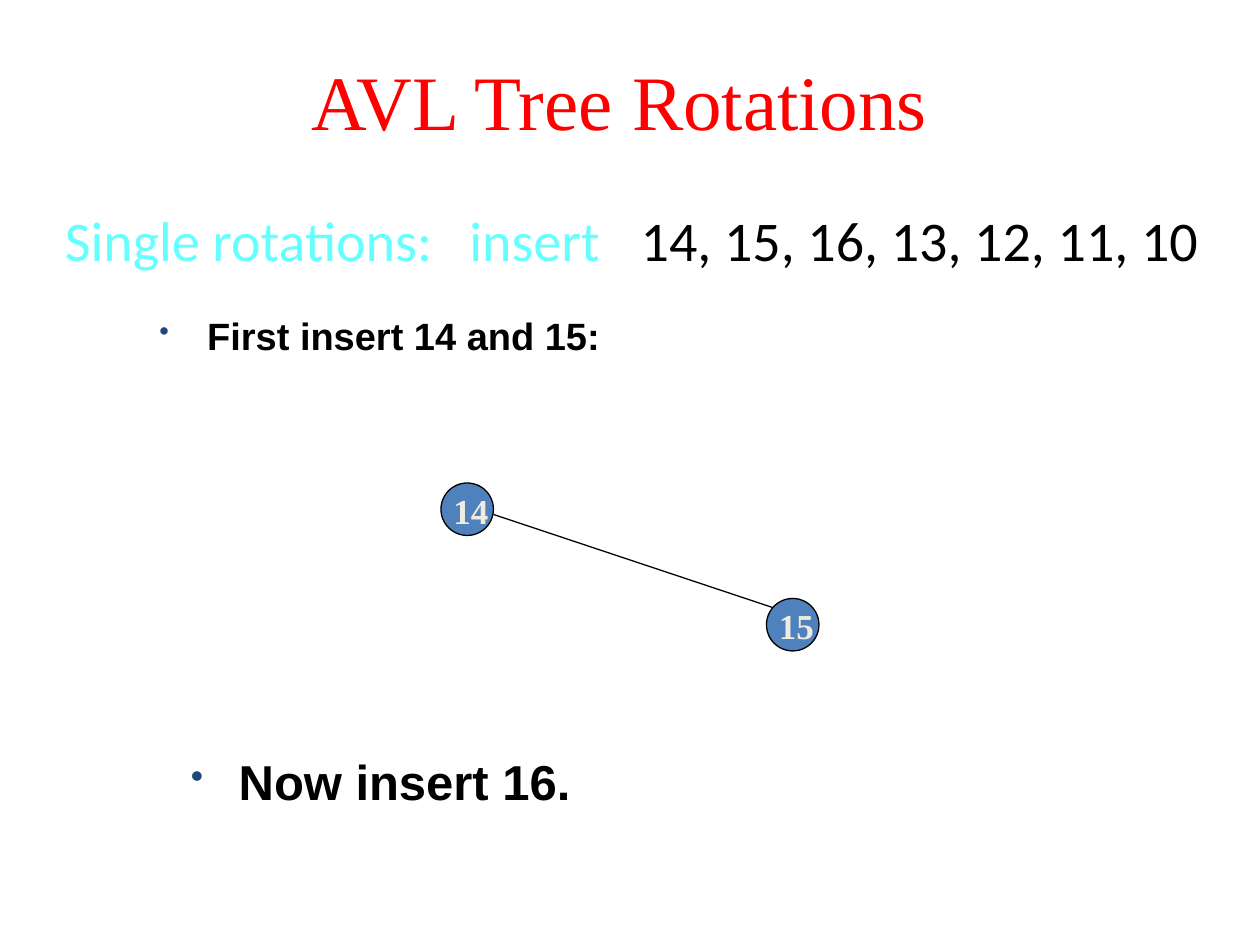
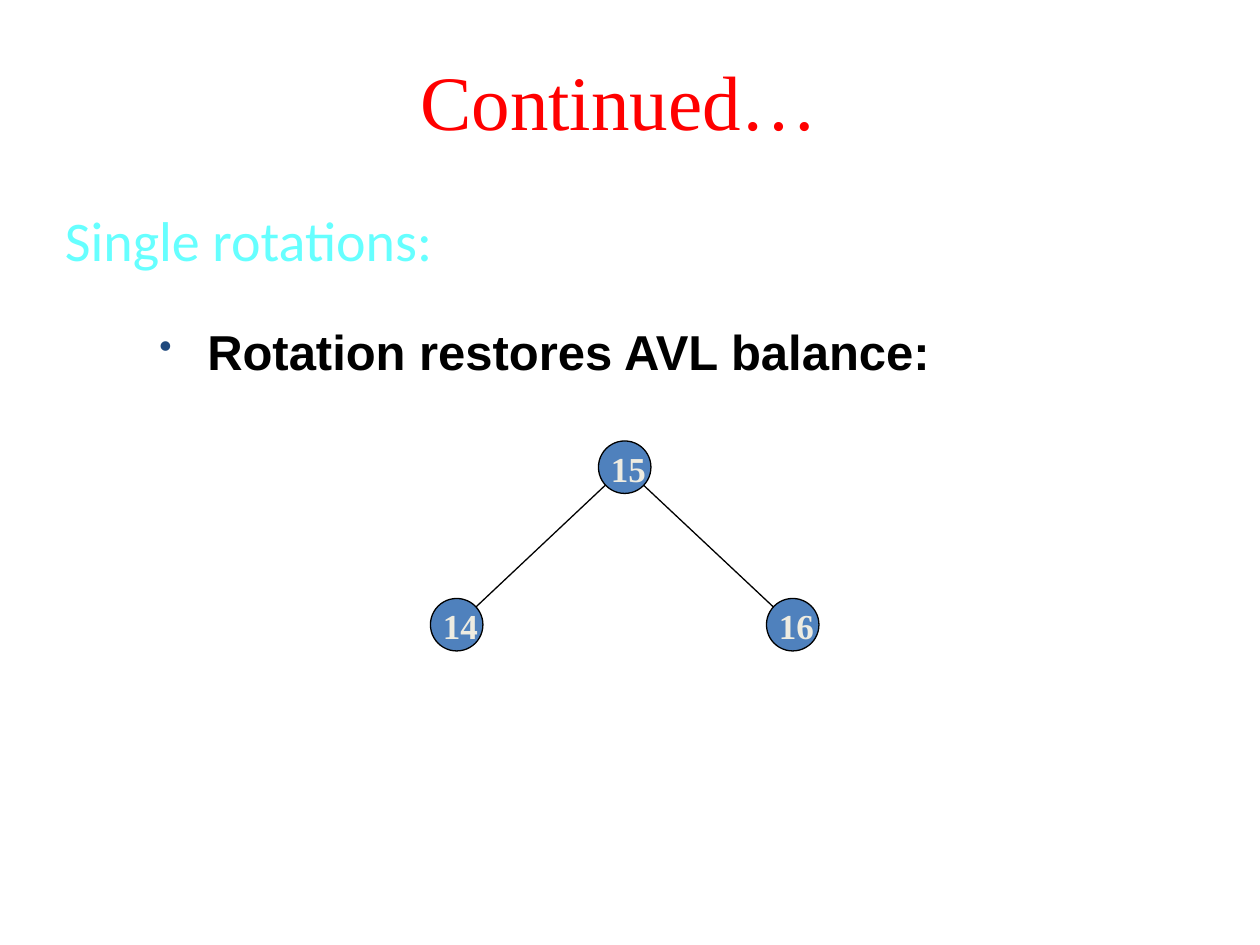
"""Build two slides on single rotations in AVL trees."""
from lxml.etree import SubElement
from pptx import Presentation
from pptx.dml.color import RGBColor as Rgb
from pptx.enum.shapes import MSO_CONNECTOR as Link, MSO_SHAPE as Shape
from pptx.enum.text import MSO_ANCHOR as Anchor, PP_ALIGN as Align
from pptx.oxml.ns import qn
from pptx.util import Inches, Pt

COLORS = {
    "title": "FF0000", "heading": "66FFFF", "text": "000000", "bullet": "1F497D",
    "node": "4F81BD", "label": "EEECE1", "line": "000000",
}
CELL = Inches(1) // 12
NODE = 5
HEADING_TABS = (3.21, 4.57)

SLIDES = [
    {
        "title": "AVL Tree Rotations",
        "heading": [("Single rotations:\tinsert\t", "heading"),
                    ("14, 15, 16, 13, 12, 11, 10", "text")],
        "edges": [(47, 49, 74, 58)],
        "nodes": [("14", 42, 46), ("15", 73, 57)],
        "bullets": [("First insert 14 and 15:", 14, 30, 48, 21.7, 0.8),
                    ("Now insert 16.", 17, 71, 48, 28, 1.0)],
    },
    {
        "title": "Continued…",
        "heading": [("Single rotations:", "heading")],
        "edges": [(43, 60, 60, 44), (60, 45, 76, 60)],
        "nodes": [("14", 41, 57), ("15", 57, 42), ("16", 73, 57)],
        "bullets": [("Rotation restores AVL balance:", 14, 30, 98, 28, 1.0)],
    },
]


def add_text(page, area, spans, font, size, bold=False, wrap=True):
    """Add a text box on the grid and return its frame and paragraph."""
    frame = page.shapes.add_textbox(*[round(CELL * share) for share in area]).text_frame
    frame.word_wrap = wrap
    para = frame.paragraphs[0]
    for text, color in spans:
        span = para.add_run()
        span.text = text
        span.font.color.rgb = Rgb.from_string(COLORS[color])
    para.font.name, para.font.size, para.font.bold = font, Pt(size), bold
    return frame, para


deck = Presentation()
deck.slide_width, deck.slide_height = CELL * 120, CELL * 90

for content in SLIDES:
    page = deck.slides.add_slide(deck.slide_layouts[6])

    for edge in content["edges"]:
        line = page.shapes.add_connector(Link.STRAIGHT, *[CELL * end for end in edge])
        line.line.color.rgb = Rgb.from_string(COLORS["line"])
        line.line.width = Pt(0.75)
        SubElement(line._element.spPr, qn("a:effectLst"))

    frame, para = add_text(page, (8, 2, 102, 15), [(content["title"], "title")],
                           "Times New Roman", 44)
    frame.vertical_anchor = Anchor.MIDDLE
    para.alignment = Align.CENTER

    frame, para = add_text(page, (5, 19, 112, 8), content["heading"], "Calibri", 32)
    tabs = SubElement(para._p.get_or_add_pPr(), qn("a:tabLst"))
    para._p.pPr.insert(0, tabs)
    for stop in HEADING_TABS:
        SubElement(tabs, qn("a:tab"), pos=str(Inches(stop)), algn="l")

    for label, column, row in content["nodes"]:
        node = page.shapes.add_shape(Shape.OVAL, CELL * column, CELL * row,
                                     CELL * NODE, CELL * NODE)
        node.shadow.inherit = False
        node.fill.solid()
        node.fill.fore_color.rgb = Rgb.from_string(COLORS["node"])
        node.line.color.rgb = Rgb.from_string(COLORS["line"])
        node.line.width = Pt(0.75)
        add_text(page, (column, row, 6, 5.25), [(label, "label")],
                 "Times New Roman", 20, bold=True, wrap=False)

    for text, column, row, width, size, spacing in content["bullets"]:
        frame, para = add_text(page, (column, row, width, 8), [(text, "text")],
                               "Arial", size, bold=True)
        props = para._p.get_or_add_pPr()
        props.set("marL", str(Inches(0.38)))
        props.set("indent", str(-Inches(0.38)))
        bullet_color = SubElement(props, qn("a:buClr"))
        SubElement(bullet_color, qn("a:srgbClr"), val=COLORS["bullet"])
        bullet_size = SubElement(props, qn("a:buSzPct"), val="75000")
        bullet_mark = SubElement(props, qn("a:buChar"), char="•")
        for place, part in enumerate((bullet_color, bullet_size, bullet_mark)):
            props.insert(place, part)
        para.line_spacing = spacing

deck.save("out.pptx")
